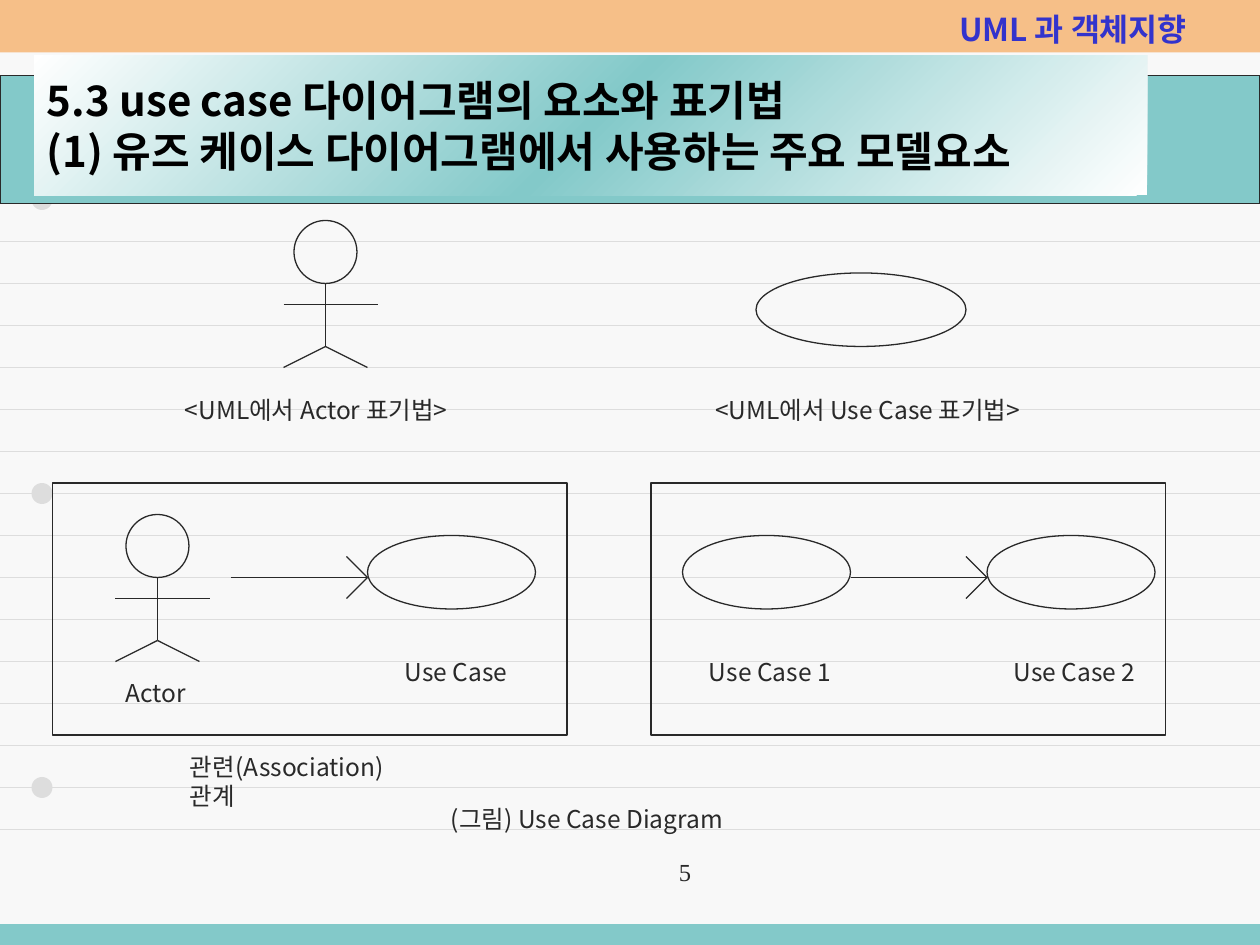
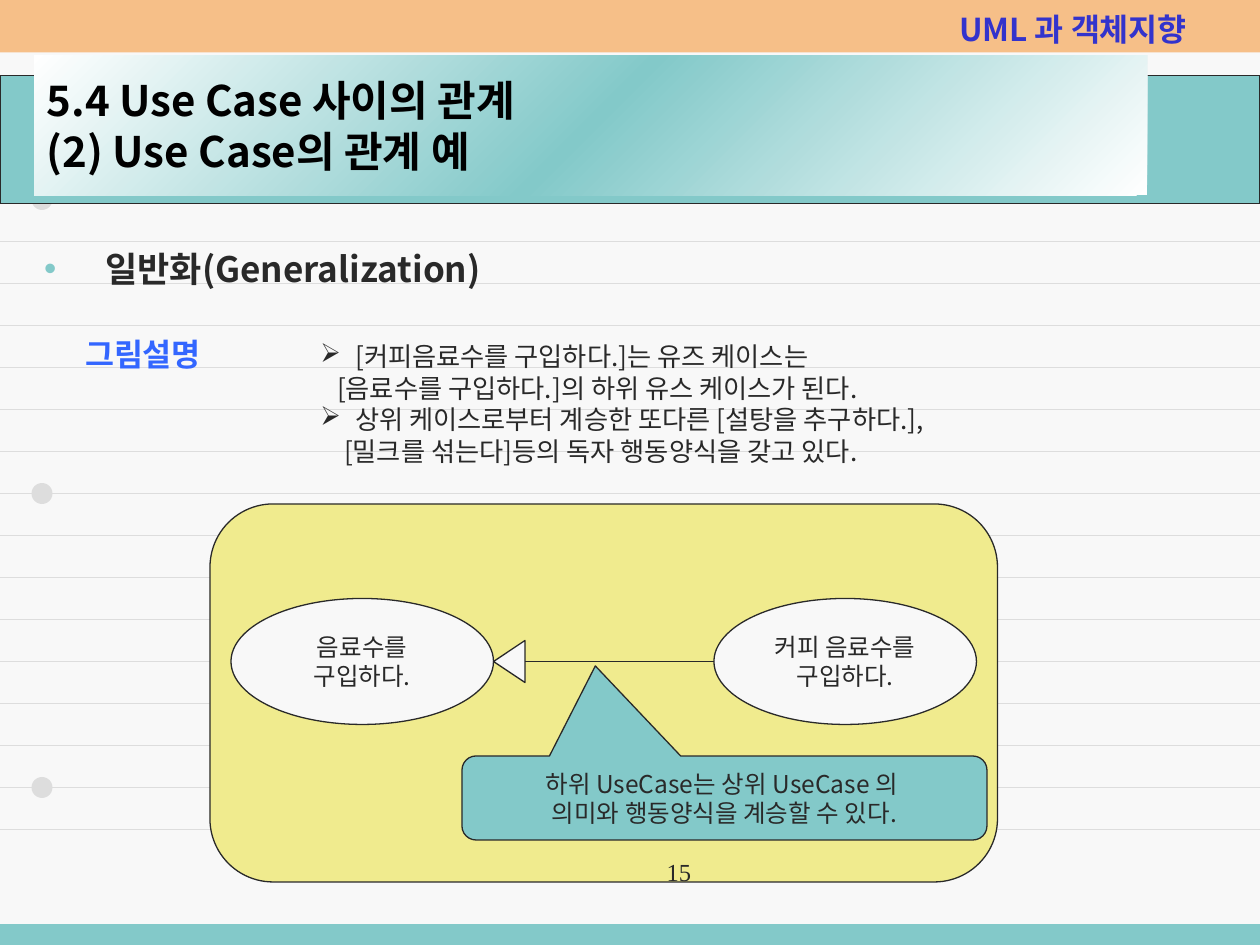
import copy

import lxml.etree
import pptx
import pptx.dml.color
import pptx.enum.shapes
import pptx.enum.text
import pptx.oxml.ns
import pptx.util

Pt = pptx.util.Pt
qn = pptx.oxml.ns.qn
KIND = pptx.enum.shapes.MSO_SHAPE
ALIGN = pptx.enum.text.PP_ALIGN
ANCHOR = pptx.enum.text.MSO_ANCHOR

FONT = "Noto Sans CJK KR"
INK = "292929"
PAPER = "F8F8F8"
RULE = "DDDDDD"
TEAL = "83C9C9"
PEACH = "F6BF88"
SAND = "F0EB8E"
WHITE = "FFFFFF"


def rgb(code):
    return pptx.dml.color.RGBColor.from_string(code)


def mark(para, sign, color, hang):
    """Give a paragraph a coloured bullet with a hanging indent."""
    props = para._p.get_or_add_pPr()
    props.set("marL", str(Pt(hang)))
    props.set("indent", str(-Pt(hang)))
    tint = lxml.etree.SubElement(props, qn("a:buClr"))
    lxml.etree.SubElement(tint, qn("a:srgbClr")).set("val", color)
    lxml.etree.SubElement(props, qn("a:buChar")).set("char", sign)


def write(shape, words, size=14, color=INK, bold=False, font=FONT,
          align=ALIGN.LEFT, anchor=ANCHOR.TOP):
    """Fill a shape with one paragraph for each line of words."""
    frame = shape.text_frame
    frame.word_wrap = True
    frame.auto_size = pptx.enum.text.MSO_AUTO_SIZE.NONE
    frame.vertical_anchor = anchor
    frame.text = words
    for para in frame.paragraphs:
        para.alignment = align
        para.space_before = Pt(0)
        for run in para.runs:
            run.font.size = Pt(size)
            run.font.bold = bold
            run.font.color.rgb = rgb(color)
            run.font.name = font
            east = lxml.etree.SubElement(run._r.get_or_add_rPr(), qn("a:ea"))
            east.set("typeface", font)
    return frame.paragraphs


def place(shape, left, top, width, height):
    shape.left, shape.top = Pt(left), Pt(top)
    shape.width, shape.height = Pt(width), Pt(height)


def label(slide, words, left, top, width, height=25, **style):
    box = slide.shapes.add_textbox(Pt(left), Pt(top), Pt(width), Pt(height))
    return write(box, words, **style)


def draw(slide, kind, left, top, width, height, fill=None, line=INK):
    shape = slide.shapes.add_shape(kind, Pt(left), Pt(top), Pt(width), Pt(height))
    shape.shadow.inherit = False
    if fill:
        shape.fill.solid()
        shape.fill.fore_color.rgb = rgb(fill)
    else:
        shape.fill.background()
    if line:
        shape.line.color.rgb = rgb(line)
        shape.line.width = Pt(0.75)
    else:
        shape.line.fill.background()
    return shape


def link(slide, x1, y1, x2, y2, color=INK, width=0.75):
    """Draw a straight line."""
    line = slide.shapes.add_connector(
        pptx.enum.shapes.MSO_CONNECTOR.STRAIGHT, Pt(x1), Pt(y1), Pt(x2), Pt(y2))
    line.line.color.rgb = rgb(color)
    line.line.width = Pt(width)
    lxml.etree.SubElement(line.element.spPr, qn("a:effectLst"))


def arrow(slide, x1, x2, y):
    """Draw a level line with an open head at x2."""
    link(slide, x1, y, x2, y)
    for rise in (-12, 12):
        link(slide, x2 - 12, y + rise, x2, y)


def actor(slide, left, top):
    draw(slide, KIND.OVAL, left + 6, top, 36, 36)
    limbs = [(0, 48, 54, 48), (24, 36, 24, 72), (24, 72, 0, 84), (24, 72, 48, 84)]
    for x1, y1, x2, y2 in limbs:
        link(slide, left + x1, top + y1, left + x2, top + y2)


def blend(shape, colors):
    """Fill a shape with evenly spaced colours along its diagonal."""
    fill = shape.fill
    fill.gradient()
    fill.gradient_angle = 315
    stops = shape.element.spPr.find(".//" + qn("a:gsLst"))
    while len(stops) < len(colors):
        stops.append(copy.deepcopy(stops[0]))
    for index, (stop, color) in enumerate(zip(fill.gradient_stops, colors)):
        stop.position = index / (len(colors) - 1)
        stop.color.rgb = rgb(color)


def dress(deck, slide):
    """Draw the shared art on a slide and move it to the master."""
    master = deck.slide_master
    back = master.background.fill
    back.solid()
    back.fore_color.rgb = rgb(PAPER)
    held = [shape.element for shape in slide.shapes]
    for y in range(90, 475, 24):
        link(slide, 0, y, 720, y, RULE, 0.5)
    for y in (108, 276, 444):
        draw(slide, KIND.OVAL, 18, y, 12, 12, RULE, None)
    draw(slide, KIND.RECTANGLE, 0, 528, 720, 12, TEAL, None)
    draw(slide, KIND.RECTANGLE, 0, 0, 720, 30, PEACH, None)
    draw(slide, KIND.RECTANGLE, 0, 43, 720, 73.5, TEAL)
    label(slide, "UML 과 객체지향", 541, 2, 155, size=18, color="3333CC", bold=True)
    for shape in list(slide.shapes):
        if shape.element not in held:
            master.element.cSld.spTree.append(shape.element)


def head(slide, words):
    title = slide.shapes.title
    place(title, 19.5, 31.5, 636, 80)
    blend(title, [WHITE, TEAL, WHITE])
    write(title, words, size=24, color="000000", bold=True, anchor=ANCHOR.MIDDLE)


def number(slide, page):
    label(slide, str(page), 234, 486, 168, 37, font="Times New Roman",
          align=ALIGN.RIGHT)


def symbols(slide):
    head(slide, "5.3 use case 다이어그램의 요소와 표기법\n"
                "(1) 유즈 케이스 다이어그램에서 사용하는 주요 모델요소")
    actor(slide, 162, 126)
    actor(slide, 66, 294)
    draw(slide, KIND.OVAL, 432, 156, 120, 42)
    for left in (210, 390, 564):
        draw(slide, KIND.OVAL, left, 306, 96, 42)
    arrow(slide, 132, 210, 330)
    arrow(slide, 486, 564, 330)
    for left in (30, 372):
        draw(slide, KIND.RECTANGLE, left, 276, 294, 144)
    for words, left, top, width in [
            ("<UML에서 Actor 표기법>", 98.5, 222, 190),
            ("<UML에서 Use Case 표기법>", 401.5, 222, 215),
            ("Actor", 64.5, 384, 60),
            ("Use Case", 224, 372, 85),
            ("Use Case 1", 398, 372, 96),
            ("Use Case 2", 572, 372, 96),
            ("관련(Association) 관계", 101.5, 426, 136),
            ("(그림) Use Case Diagram", 250.5, 456, 193)]:
        label(slide, words, left, top, width)
    number(slide, 5)


def family(slide):
    head(slide, "5.4 Use Case 사이의 관계\n(2) Use Case의 관계 예")
    body = slide.placeholders[1]
    place(body, 18, 138, 288, 42)
    topic = write(body, "일반화(Generalization)", size=20, bold=True)
    mark(topic[0], "•", TEAL, 35)

    pane = draw(slide, KIND.ROUNDED_RECTANGLE, 120, 288, 450, 216, SAND)
    pane.adjustments[0] = 0.167
    label(slide, "그림설명", 41.5, 188, 90, 29, size=18, color="3366FF", bold=True)
    notes = label(slide, " [커피음료수를 구입하다.]는 유즈 케이스는\n"
                         "[음료수를 구입하다.]의 하위 유스 케이스가 된다.\n"
                         " 상위 케이스로부터 계승한 또다른 [설탕을 추구하다.],\n"
                         "[밀크를 섞는다]등의 독자 행동양식을 갖고 있다.",
                  176, 191, 367, 95, size=15)
    for para, indent in zip(notes[1::2], (9.5, 13.5)):
        para._p.get_or_add_pPr().set("marL", str(Pt(indent)))
        para._p.get_or_add_pPr().set("indent", "0")
    for para in notes[::2]:
        mark(para, "➢", INK, 16.5)

    for left, words in [(132, "음료수를\n구입하다."), (408, "커피 음료수를\n구입하다.")]:
        case = draw(slide, KIND.OVAL, left, 342, 150, 72, PAPER)
        write(case, words, align=ALIGN.CENTER, anchor=ANCHOR.MIDDLE)
    link(slide, 408, 378, 300, 378)
    tip = draw(slide, KIND.ISOSCELES_TRIANGLE, 279, 369, 24, 18, PAPER)
    tip.rotation = 270
    note = draw(slide, KIND.ROUNDED_RECTANGULAR_CALLOUT, 264, 432, 300, 48, TEAL)
    for index, value in enumerate((-0.246, -1.573, 0.167)):
        note.adjustments[index] = value
    write(note, "하위 UseCase는 상위 UseCase 의 \n의미와 행동양식을 계승할 수 있다.",
          align=ALIGN.CENTER, anchor=ANCHOR.MIDDLE)
    number(slide, 15)


def main():
    deck = pptx.Presentation()
    deck.slide_width, deck.slide_height = Pt(720), Pt(540)
    first = deck.slides.add_slide(deck.slide_layouts[5])
    dress(deck, first)
    symbols(first)
    family(deck.slides.add_slide(deck.slide_layouts[1]))
    deck.save("out.pptx")


if __name__ == "__main__":
    main()
